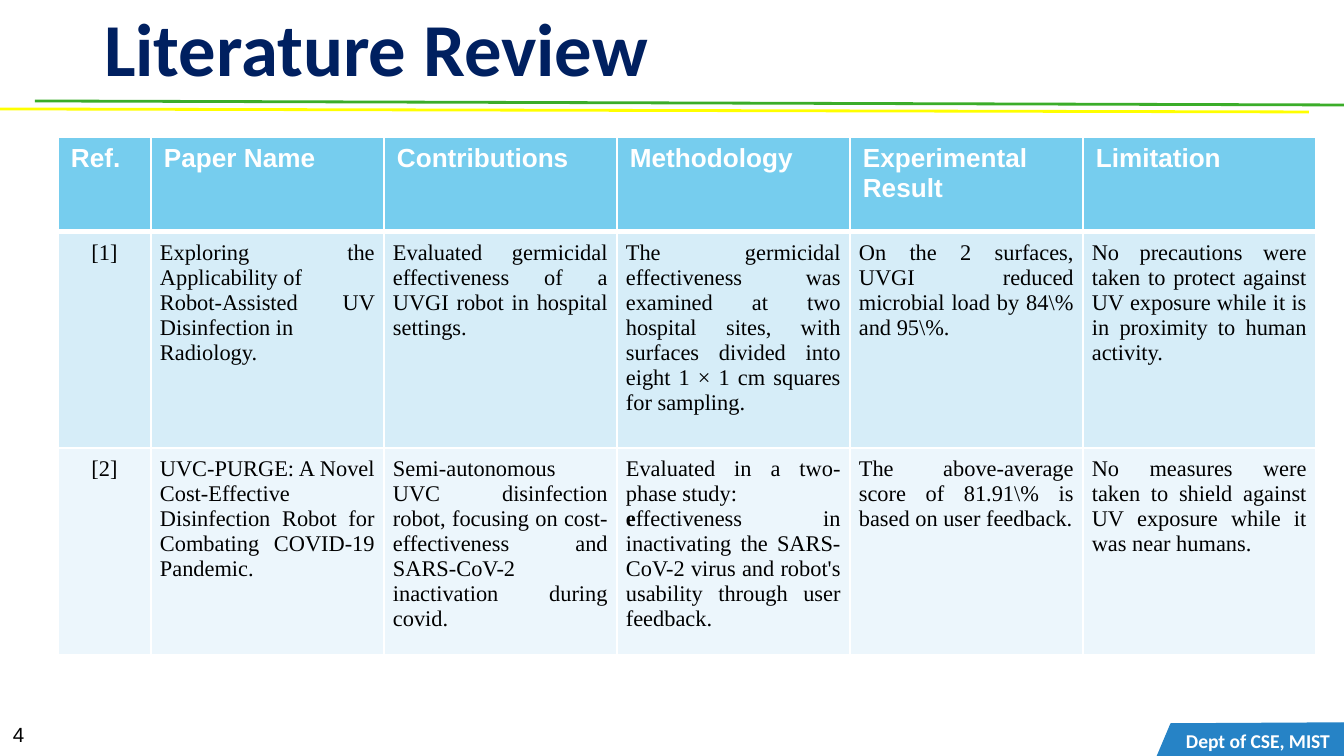
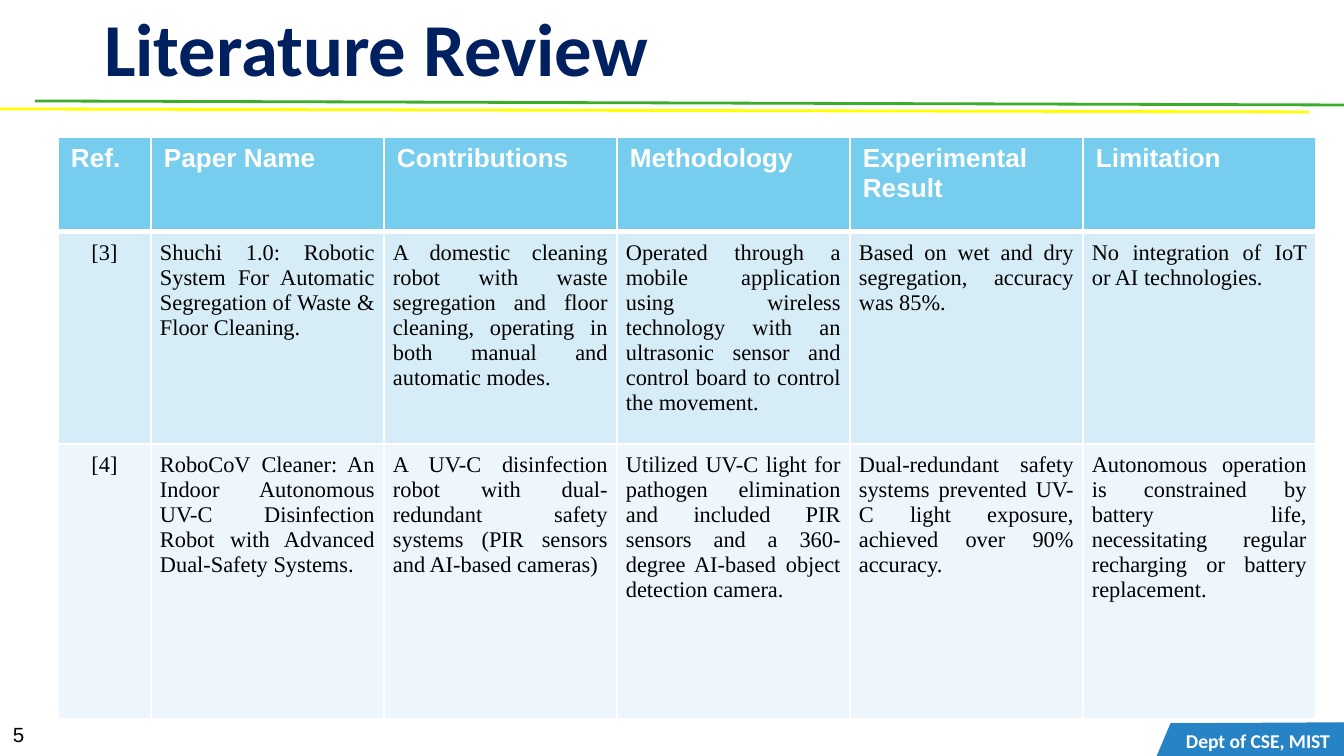
"""Builds the two literature review slides of a disinfection robot project."""
from lxml import etree
from pptx import Presentation
from pptx import util as u
from pptx.dml.color import RGBColor
from pptx.enum import shapes, text
from pptx.oxml import ns

SCALE = 914400 / 134.4
COLORS = {
    "title": "002060", "green": "3BAD29", "yellow": "FFFF00", "footer": "2683C6",
    "header": "76CDEE", "odd": "D6EDF8", "even": "ECF6FC",
    "white": "FFFFFF", "black": "000000",
}
HEADINGS = ["Ref.", "Paper Name", "Contributions", "Methodology", "Experimental Result", "Limitation"]
COLUMN_WIDTHS = [93] + [233] * 5
HEADER_HEIGHT = 95
REVIEWS = [
    {
        "number": 4,
        "heights": [216, 207],
        "papers": [
            ["[1]",
             "Exploring the Applicability of\nRobot-Assisted UV Disinfection in\nRadiology.",
             "Evaluated germicidal effectiveness of a UVGI robot in hospital settings.",
             "The germicidal effectiveness was examined at two hospital sites, with surfaces "
             "divided into eight 1 × 1 cm squares for sampling.",
             "On the 2 surfaces, UVGI reduced microbial load by 84\\% and 95\\%.",
             "No precautions were taken to protect against UV exposure while it is in proximity "
             "to human activity."],
            ["[2]",
             "UVC-PURGE: A Novel Cost-Effective Disinfection Robot for Combating COVID-19 Pandemic.",
             "Semi-autonomous UVC disinfection robot, focusing on cost-effectiveness and "
             "SARS-CoV-2 inactivation during covid.",
             "Evaluated in a two-phase study:\n*e*ffectiveness in inactivating the SARS-CoV-2 "
             "virus and robot's usability through user feedback.",
             "The above-average score of 81.91\\% is based on user feedback.",
             "No measures were taken to shield against UV exposure while it was near humans."],
        ],
    },
    {
        "number": 5,
        "heights": [212, 275],
        "papers": [
            ["[3]",
             "Shuchi 1.0: Robotic System For Automatic Segregation of Waste & Floor Cleaning.",
             "A domestic cleaning robot with waste segregation and floor cleaning, operating in "
             "both manual and automatic modes.",
             "Operated through a mobile application using wireless technology with an "
             "ultrasonic sensor and control board to control the movement.",
             "Based on wet and dry segregation, accuracy was 85%.",
             "No integration of IoT or AI technologies."],
            ["[4]",
             "RoboCoV Cleaner: An Indoor Autonomous UV-C Disinfection Robot with Advanced "
             "Dual-Safety Systems.",
             "A UV-C disinfection robot with dual-redundant safety systems (PIR sensors and "
             "AI-based cameras)",
             "Utilized UV-C light for pathogen elimination and included PIR sensors and a "
             "360-degree AI-based object detection camera.",
             "Dual-redundant safety systems prevented UV-C light exposure, achieved over 90% accuracy.",
             "Autonomous operation is constrained by battery life, necessitating regular "
             "recharging or battery replacement."],
        ],
    },
]


def px(length):
    """Turn a length in px into EMU."""
    return u.Emu(round(length * SCALE))


def color(name):
    """Return the named colour."""
    return RGBColor.from_string(COLORS[name])


def set_margins(target, side, top):
    """Set the inner margins of a text frame or table cell."""
    target.margin_left = target.margin_right = px(side)
    target.margin_top = target.margin_bottom = px(top)


def format_text(frame, font, size, fill, bold=False, align=text.PP_ALIGN.LEFT):
    """Format every run of a text frame."""
    for paragraph in frame.paragraphs:
        paragraph.alignment = align
        for run in paragraph.runs:
            run.font.name = font
            run.font.size = u.Pt(size)
            run.font.bold = bold
            run.font.color.rgb = color(fill)


def embolden_marked(frame):
    """Turn text between asterisks into bold runs."""
    for paragraph in frame.paragraphs:
        parts = paragraph.text.split("*")
        if len(parts) > 1:
            font = paragraph.runs[0].font
            name, size, fill = font.name, font.size, font.color.rgb
            paragraph.text = ""
            for index, part in enumerate(parts):
                if part:
                    run = paragraph.add_run()
                    run.text = part
                    run.font.name, run.font.size = name, size
                    run.font.color.rgb = fill
                    run.font.bold = index % 2 == 1


def add_label(slide, words, box, font, size, fill, margins=(13, 13), bold=False,
              align=text.PP_ALIGN.LEFT, anchor=text.MSO_ANCHOR.TOP):
    """Add a wrapped text box."""
    frame = slide.shapes.add_textbox(*map(px, box)).text_frame
    frame.word_wrap = True
    frame.vertical_anchor = anchor
    set_margins(frame, *margins)
    frame.text = words
    format_text(frame, font, size, fill, bold, align)


def add_rule(slide, start, end, fill):
    """Add a thin line below the title."""
    line = slide.shapes.add_connector(
        shapes.MSO_CONNECTOR.STRAIGHT, *map(px, start + end))
    line.line.color.rgb = color(fill)
    line.line.width = u.Pt(1.5)
    etree.SubElement(line._element.spPr, ns.qn("a:effectLst"))


def add_footer_band(slide):
    """Add the slanted band in the lower right corner."""
    builder = slide.shapes.build_freeform(1157, 757, scale=SCALE)
    builder.add_line_segments([(1171, 724), (1344, 723), (1345, 757)], close=True)
    band = builder.convert_to_shape()
    band.shadow.inherit = False
    band.fill.solid()
    band.fill.fore_color.rgb = color("footer")
    band.line.color.rgb = color("footer")
    band.line.width = u.Pt(0.75)


def add_frame(slide, number):
    """Add the title, rules, page number and footer."""
    add_rule(slide, (35, 101), (1344, 105), "green")
    add_rule(slide, (0, 109), (1309, 112), "yellow")
    add_label(slide, str(number), (0, 715, 71, 39), "Arial", 11, "black", margins=(13, 7))
    add_footer_band(slide)
    add_label(slide, "Dept of CSE, MIST", (1172, 727, 172, 27), "Calibri", 10.5, "white",
              bold=True, align=text.PP_ALIGN.CENTER, anchor=text.MSO_ANCHOR.MIDDLE)
    add_label(slide, "Literature Review", (91, -11, 1223, 118), "Calibri", 40, "title", bold=True)


def set_borders(cell, top, bottom):
    """Draw white cell borders with the given top and bottom widths."""
    properties = cell._tc.get_or_add_tcPr()
    for side, width in (("L", 1), ("R", 1), ("T", top), ("B", bottom)):
        line = etree.SubElement(properties, ns.qn(f"a:ln{side}"), w=str(u.Pt(width)))
        fill = etree.SubElement(line, ns.qn("a:solidFill"))
        etree.SubElement(fill, ns.qn("a:srgbClr"), val=COLORS["white"])


def fill_cell(cell, words, row, column):
    """Write and style one cell according to its place."""
    set_borders(cell, 3 if row == 1 else 1, 3 if row == 0 else 1)
    cell.fill.solid()
    cell.fill.fore_color.rgb = color(("header", "odd", "even")[row])
    cell.text = words
    if row == 0:
        set_margins(cell, 13, 7)
        format_text(cell.text_frame, "Arial", 14, "white", bold=True)
    else:
        set_margins(cell, 9, 9)
        align = text.PP_ALIGN.JUSTIFY if column else text.PP_ALIGN.CENTER
        format_text(cell.text_frame, "Times New Roman", 12, "black", align=align)
        embolden_marked(cell.text_frame)


def add_review_table(slide, papers, paper_heights):
    """Add the table that compares the papers."""
    rows = [HEADINGS] + papers
    heights = [HEADER_HEIGHT] + paper_heights
    table = slide.shapes.add_table(
        len(rows), len(HEADINGS), px(58), px(137), px(sum(COLUMN_WIDTHS)), px(sum(heights))).table
    table.horz_banding = False
    for column, width in zip(table.columns, COLUMN_WIDTHS):
        column.width = px(width)
    for row, (height, entries) in enumerate(zip(heights, rows)):
        table.rows[row].height = px(height)
        for column, words in enumerate(entries):
            fill_cell(table.cell(row, column), words, row, column)


def main():
    """Build and save the presentation."""
    presentation = Presentation()
    presentation.slide_width = px(1344)
    presentation.slide_height = px(756)
    for review in REVIEWS:
        slide = presentation.slides.add_slide(presentation.slide_layouts[6])
        add_frame(slide, review["number"])
        add_review_table(slide, review["papers"], review["heights"])
    presentation.save("out.pptx")


if __name__ == "__main__":
    main()
